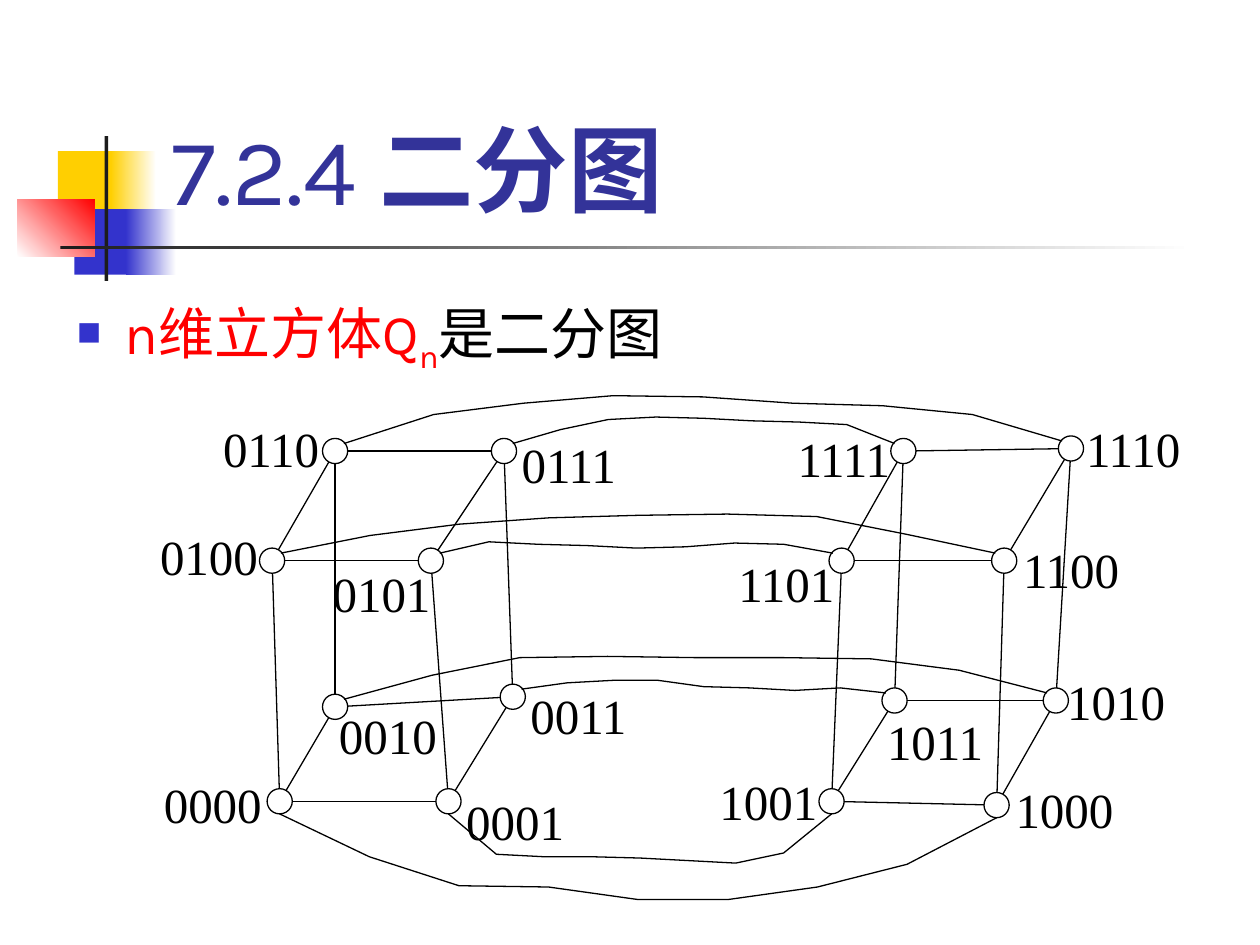
import itertools
import math

import pptx
import pptx.dml.color
import pptx.enum.shapes
import pptx.enum.text
import pptx.oxml
import pptx.oxml.ns
import pptx.util

SHAPES = pptx.enum.shapes.MSO_SHAPE
COLORS = {"yellow": "FFCF01", "blue": "3333CC", "red": "FF0000", "ink": "1C1C1C",
          "title": "333399", "black": "000000", "white": "FFFFFF"}
RADIUS = 0.1

# All coordinates are in inches.
ORNAMENTS = [  # box, colours, gradient angle
    ((0.46, 1.2, 0.48, 0.52), ["yellow"], 0),
    ((0.88, 1.2, 0.36, 0.52), ["yellow", "white"], 0),
    ((0.59, 1.66, 0.46, 0.52), ["blue"], 0),
    ((1, 1.66, 0.4, 0.52), ["blue", "white"], 0),
    ((0.14, 1.58, 0.61, 0.46), ["white", "red"], 45),
    ((0.83, 1.08, 0.03, 1.15), ["ink"], 0),
    ((0.48, 1.95, 9, 0.03), ["ink", "white"], 0),
]
VERTICES = {  # code: centre of the node, corner of the label
    "0000": ((2.22, 6.36), (1.22, 6.11)), "0001": ((3.56, 6.36), (3.62, 6.24)),
    "0010": ((2.66, 5.61), (2.61, 5.56)), "0011": ((4.07, 5.53), (4.13, 5.4)),
    "0100": ((2.16, 4.45), (1.19, 4.14)), "0101": ((3.42, 4.45), (2.56, 4.43)),
    "0110": ((2.66, 3.58), (1.69, 3.28)), "0111": ((4, 3.58), (4.06, 3.41)),
    "1000": ((7.91, 6.39), (7.98, 6.15)), "1001": ((6.6, 6.36), (5.63, 6.08)),
    "1010": ((8.38, 5.56), (8.39, 5.29)), "1011": ((7.1, 5.56), (6.96, 5.61)),
    "1100": ((7.97, 4.45), (8.04, 4.24)), "1101": ((6.68, 4.45), (5.78, 4.35)),
    "1110": ((8.5, 3.56), (8.54, 3.28)), "1111": ((7.17, 3.58), (6.25, 3.36)),
}
CURVE_HEIGHTS = {  # last three bits: heights at equal steps from 0xxx to 1xxx
    "000": [6.8, 7.03, 7.04, 7.14, 7.14, 7.04, 6.86],
    "001": [6.78, 6.8, 6.8, 6.81, 6.83, 6.85, 6.77],
    "010": [5.36, 5.22, 5.21, 5.22, 5.22, 5.23, 5.32],
    "011": [5.42, 5.4, 5.4, 5.45, 5.46, 5.48, 5.46],
    "100": [4.25, 4.16, 4.11, 4.09, 4.08, 4.1, 4.24],
    "101": [4.3, 4.32, 4.33, 4.35, 4.34, 4.31, 4.32],
    "110": [3.29, 3.2, 3.14, 3.15, 3.2, 3.22, 3.29],
    "111": [3.41, 3.33, 3.31, 3.32, 3.34, 3.35, 3.37],
}


def length(inches):
    return pptx.util.Cm(inches * 2.54)


def rgb(name):
    return pptx.dml.color.RGBColor.from_string(COLORS[name])


def draw_outline(line, color="black"):
    line.color.rgb = rgb(color)
    line.width = pptx.util.Pt(0.75)


def add_shape(slide, kind, box, fill):
    shape = slide.shapes.add_shape(kind, *map(length, box))
    shape.shadow.inherit = False
    shape.fill.solid()
    shape.fill.fore_color.rgb = rgb(fill)
    return shape


def add_ornament(slide, box, colors, angle):
    shape = add_shape(slide, SHAPES.RECTANGLE, box, colors[0])
    shape.line.fill.background()
    if len(colors) > 1:
        shape.fill.gradient()
        shape.fill.gradient_angle = angle
        for position, (stop, color) in enumerate(zip(shape.fill.gradient_stops, colors)):
            stop.color.rgb = rgb(color)
            stop.position = position


def add_span(para, text, size, color, font="Karla"):
    span = para.add_run()
    span.text = text
    span.font.size = pptx.util.Pt(size)
    span.font.name = font
    span.font.color.rgb = rgb(color)
    return span


def add_text_box(slide, box, anchor):
    frame = slide.shapes.add_textbox(*map(length, box)).text_frame
    frame.word_wrap = True
    frame.vertical_anchor = anchor
    return frame.paragraphs[0]


def add_title(slide):
    para = add_text_box(slide, (1.26, 0.23, 8.52, 1.6), pptx.enum.text.MSO_ANCHOR.BOTTOM)
    add_span(para, "7.2.4 ", 54, "title")
    add_span(para, "二分图", 54, "title").font.bold = True


def add_bullet(para):
    """Give the paragraph a small blue square and a hanging indent."""
    properties = para._p.get_or_add_pPr()
    properties.set("marL", str(length(0.38)))
    properties.set("indent", str(-length(0.38)))
    namespace = pptx.oxml.ns.nsdecls("a")
    for xml in (f'<a:buClr {namespace}><a:srgbClr val="{COLORS["blue"]}"/></a:buClr>',
                f'<a:buSzPct {namespace} val="60000"/>',
                f'<a:buChar {namespace} char="■"/>'):
        properties.append(pptx.oxml.parse_xml(xml))


def add_body(slide):
    para = add_text_box(slide, (0.51, 2.02, 9.49, 5.48), pptx.enum.text.MSO_ANCHOR.TOP)
    add_bullet(para)
    para.line_spacing = 1.5
    add_span(para, "n维立方体Q", 32, "red")
    subscript = add_span(para, "n", 32, "red")
    subscript.font._element.set("baseline", "-25000")
    add_span(para, "是二分图", 32, "black")


def add_label(slide, code, corner):
    shape = add_shape(slide, SHAPES.RECTANGLE, (*corner, 1.19, 0.58), "white")
    draw_outline(shape.line, "white")
    frame = shape.text_frame
    frame.vertical_anchor = pptx.enum.text.MSO_ANCHOR.TOP
    frame.margin_left = frame.margin_right = length(0.08)
    frame.margin_top = frame.margin_bottom = length(0.04)
    para = frame.paragraphs[0]
    para.alignment = pptx.enum.text.PP_ALIGN.LEFT
    add_span(para, code, 28, "black", "Times New Roman")


def add_node(slide, x, y):
    box = (x - RADIUS, y - RADIUS, 2 * RADIUS, 2 * RADIUS)
    draw_outline(add_shape(slide, SHAPES.OVAL, box, "white").line)


def add_edge(slide, start, end):
    """Join the rims of two nodes given by their centres."""
    (x1, y1), (x2, y2) = start, end
    trim = RADIUS / math.dist(start, end)
    dx, dy = (x2 - x1) * trim, (y2 - y1) * trim
    ends = (x1 + dx, y1 + dy, x2 - dx, y2 - dy)
    edge = slide.shapes.add_connector(pptx.enum.shapes.MSO_CONNECTOR.STRAIGHT,
                                      *map(length, ends))
    draw_outline(edge.line)
    edge._element.spPr.append(
        pptx.oxml.parse_xml(f'<a:effectLst {pptx.oxml.ns.nsdecls("a")}/>'))


def add_cross_edge(slide, bits, heights):
    """Join the two nodes that differ in the first bit, below or above the cubes."""
    (x1, y1), (x2, y2) = (VERTICES[first + bits][0] for first in "01")
    inset, rise = (0, RADIUS) if bits.startswith("00") else (0.07, -0.06)
    x1, x2 = x1 + inset, x2 - inset
    levels = [y1 + rise, *heights, y2 + rise]
    step = (x2 - x1) / (len(levels) - 1)
    start, *rest = [(length(x1 + index * step), length(y))
                    for index, y in enumerate(levels)]
    builder = slide.shapes.build_freeform(*start)
    builder.add_line_segments(rest, close=False)
    curve = builder.convert_to_shape()
    curve.shadow.inherit = False
    curve.fill.background()
    draw_outline(curve.line)


def is_cube_edge(first, second):
    differences = sum(a != b for a, b in zip(first, second))
    return first[0] == second[0] and differences == 1


def main():
    deck = pptx.Presentation()
    deck.slide_width, deck.slide_height = length(10), length(7.5)
    slide = deck.slides.add_slide(deck.slide_layouts[6])
    for ornament in ORNAMENTS:
        add_ornament(slide, *ornament)
    add_title(slide)
    add_body(slide)
    for code, (_, corner) in VERTICES.items():
        add_label(slide, code, corner)
    for center, _ in VERTICES.values():
        add_node(slide, *center)
    for first, second in itertools.combinations(VERTICES, 2):
        if is_cube_edge(first, second):
            add_edge(slide, VERTICES[first][0], VERTICES[second][0])
    for bits, heights in CURVE_HEIGHTS.items():
        add_cross_edge(slide, bits, heights)
    deck.save("out.pptx")


if __name__ == "__main__":
    main()
